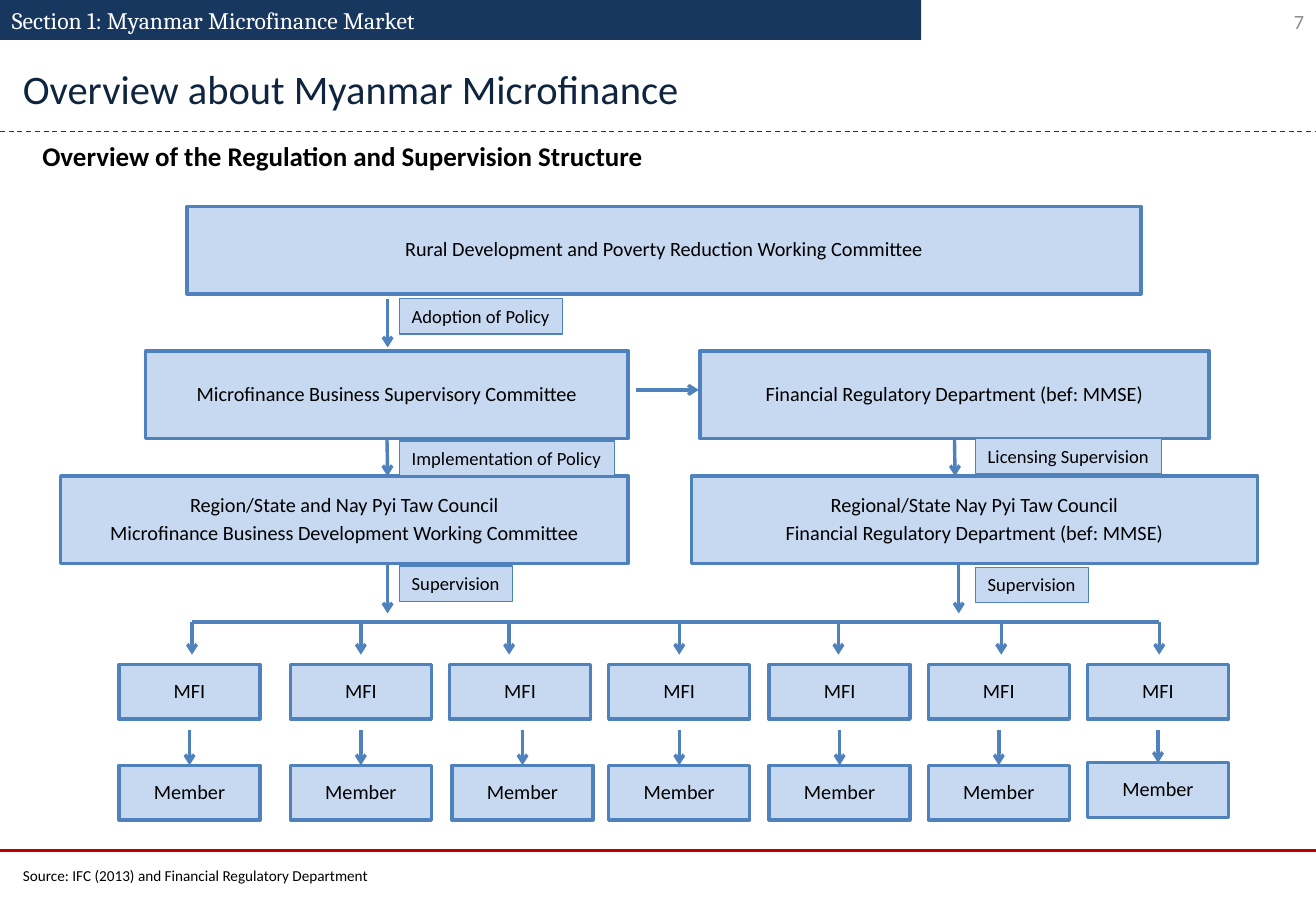
"""Build the slide on the regulation and supervision structure of Myanmar microfinance."""
from lxml.etree import SubElement
from pptx import Presentation
from pptx.dml.color import RGBColor
from pptx.enum.dml import MSO_LINE
from pptx.enum.shapes import MSO_CONNECTOR, MSO_SHAPE
from pptx.enum.text import MSO_ANCHOR, PP_ALIGN
from pptx.oxml.ns import qn
from pptx.util import Pt

PX = 9144
COLORS = {name: RGBColor.from_string(value) for name, value in {
    "navy": "17375E", "title": "0F243E", "blue": "4F81BD", "pale": "C6D9F1",
    "red": "C00000", "gray": "8C8C8C", "black": "000000", "white": "FFFFFF",
}.items()}

presentation = Presentation()
presentation.slide_width = 1083 * PX
presentation.slide_height = 750 * PX
slide = presentation.slides.add_slide(presentation.slide_layouts[6])


def add_text(bounds, text, size, color="black", fill=None, line_width=0, font="Calibri",
             bold=False, align=PP_ALIGN.LEFT, anchor=MSO_ANCHOR.TOP, wrap=True):
    """Add a text box, or a rectangle with text when a fill is given."""
    left, top, width, height = (value * PX for value in bounds)
    if fill:
        shape = slide.shapes.add_shape(MSO_SHAPE.RECTANGLE, left, top, width, height)
        shape.shadow.inherit = False
        shape.fill.solid()
        shape.fill.fore_color.rgb = COLORS[fill]
        if line_width:
            shape.line.color.rgb = COLORS["blue"]
            shape.line.width = Pt(line_width)
        else:
            shape.line.fill.background()
    else:
        shape = slide.shapes.add_textbox(left, top, width, height)
    text_frame = shape.text_frame
    text_frame.text = text
    text_frame.word_wrap = wrap
    text_frame.vertical_anchor = anchor
    for paragraph in text_frame.paragraphs:
        paragraph.alignment = align
        for run in paragraph.runs:
            run.font.name = font
            run.font.size = Pt(size)
            run.font.bold = bold
            run.font.color.rgb = COLORS[color]
    return shape


def add_line(start_x, start_y, end_x, end_y, color="blue", width=2, arrow=True):
    """Add a straight line, with an arrowhead at its end unless arrow is False."""
    connector = slide.shapes.add_connector(
        MSO_CONNECTOR.STRAIGHT, start_x * PX, start_y * PX, end_x * PX, end_y * PX)
    connector.line.color.rgb = COLORS[color]
    connector.line.width = Pt(width)
    if arrow:
        SubElement(connector.line._ln, qn("a:tailEnd"), type="arrow")
    SubElement(connector._element.spPr, qn("a:effectLst"))
    return connector


add_text((0, 0, 758, 33), "Section 1: Myanmar Microfinance Market", 14, "white",
         fill="navy", font="Cambria", anchor=MSO_ANCHOR.MIDDLE)
add_text((830, 0, 253, 36), "7", 12, "gray", align=PP_ALIGN.RIGHT, anchor=MSO_ANCHOR.MIDDLE)
add_text((9, 48, 641, 50), "Overview about Myanmar Microfinance", 24, "title")
title_rule = add_line(0, 108, 1083, 108, "navy", 0.75, arrow=False)
title_rule.line.dash_style = MSO_LINE.DASH
add_text((25, 110, 521, 37), "Overview of the Regulation and Supervision Structure", 16,
         bold=True, wrap=False)
add_line(0, 700, 1083, 700, "red", 1.5, arrow=False)
add_text((9, 708, 307, 25), "Source: IFC (2013) and Financial Regulatory Department", 9,
         wrap=False)

BODY_HEIGHT, UNIT_WIDTH, UNIT_HEIGHT = 72, 116, 45
MFI_TOP, MEMBER_TOP = 547, 630
box_specs = {
    "working": (154, 170, 785, BODY_HEIGHT,
                "Rural Development and Poverty Reduction Working Committee"),
    "supervisory": (120, 289, 397, BODY_HEIGHT, "Microfinance Business Supervisory Committee"),
    "department": (576, 289, 419, BODY_HEIGHT, "Financial Regulatory Department (bef: MMSE)"),
    "council": (50, 392, 467, BODY_HEIGHT, "Region/State and Nay Pyi Taw Council\n"
                "Microfinance Business Development Working Committee"),
    "regional": (569, 392, 466, BODY_HEIGHT, "Regional/State Nay Pyi Taw Council\n"
                 "Financial Regulatory Department (bef: MMSE)"),
}
unit_lefts = [98] + [239 + round(131.2 * step) for step in range(6)]
member_shifts = {2: (2, 0), 6: (0, -2)}
for column, left in enumerate(unit_lefts):
    shift_x, shift_y = member_shifts.get(column, (0, 0))
    box_specs["mfi", column] = (left, MFI_TOP, UNIT_WIDTH, UNIT_HEIGHT, "MFI")
    box_specs["member", column] = (
        left + shift_x, MEMBER_TOP + shift_y, UNIT_WIDTH, UNIT_HEIGHT, "Member")

boxes = {}
for name, (*bounds, text) in box_specs.items():
    box = add_text(bounds, text, 12, fill="pale", line_width=2,
                   align=PP_ALIGN.CENTER, anchor=MSO_ANCHOR.MIDDLE)
    text_frame = box.text_frame
    text_frame.margin_left = text_frame.margin_right = PX
    text_frame.margin_top = text_frame.margin_bottom = PX
    for position, paragraph in enumerate(text_frame.paragraphs):
        paragraph.line_spacing = 0.9
        if position:
            paragraph.space_before = Pt(4)
    boxes[name] = box

add_line(319, 246, 319, 286)
add_line(319, 361, 319, 392).begin_connect(boxes["supervisory"], 2)
add_line(786, 361, 786, 392).begin_connect(boxes["department"], 2)
add_line(319, 464, 319, 505)
add_line(789, 464, 789, 505)
add_line(523, 321, 575, 321)

BUS_TOP = 512
drop_centers = [158, 297, 419, 559, 690, 824, 954]
add_line(drop_centers[0], BUS_TOP, drop_centers[-1], BUS_TOP, arrow=False)
for column, drop_center in enumerate(drop_centers):
    add_line(drop_center, BUS_TOP, drop_center, 539)
    member_left, member_top = box_specs["member", column][:2]
    member_center = member_left + UNIT_WIDTH // 2
    member_arrow = add_line(member_center, 601, member_center, member_top)
    member_arrow.end_connect(boxes["member", column], 0)

for left, top, width, label in [
    (329, 246, 134, "Adoption of Policy"),
    (329, 363, 177, "Implementation of Policy"),
    (803, 361, 153, "Licensing Supervision"),
    (329, 466, 93, "Supervision"),
    (803, 467, 93, "Supervision"),
]:
    add_text((left, top, width, 29), label, 11, fill="pale", line_width=0.75, wrap=False)

presentation.save("out.pptx")
